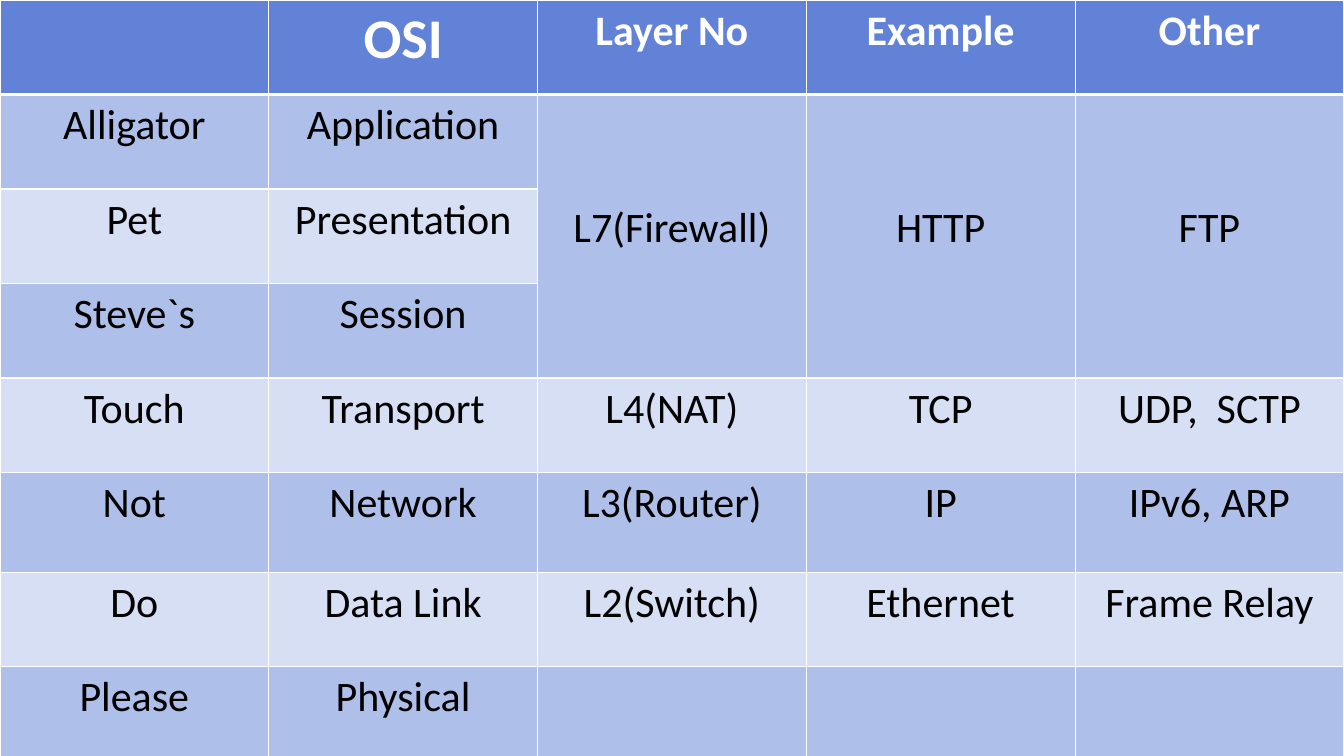
from lxml.etree import SubElement
from pptx import Presentation
from pptx.dml.color import RGBColor
from pptx.enum.text import PP_ALIGN
from pptx.oxml.ns import qn
from pptx.util import Inches, Pt

# Content: mnemonic, OSI layer, layer number, example, other
HEADER = ["", "OSI", "Layer No", "Example", "Other"]
LAYERS = [
    ["Alligator", "Application", "L7(Firewall)", "HTTP", "FTP"],
    ["Pet", "Presentation"],
    ["Steve`s", "Session"],
    ["Touch", "Transport", "L4(NAT)", "TCP", "UDP,  SCTP"],
    ["Not", "Network", "L3(Router)", "IP", "IPv6, ARP"],
    ["Do", "Data Link", "L2(Switch)", "Ethernet", "Frame Relay"],
    ["Please", "Physical"],
]
ROWS = [HEADER] + LAYERS
MERGED_ROWS = (1, 3)
MERGED_COLUMNS = (2, 3, 4)

# Look
WIDTH, HEIGHT = 13.33, 7.5
TALL_ROW, TALL_HEIGHT = 5, 0.99
MERGED_TOP_MARGIN = 1.07
FONT, SIZE, TITLE_SIZE = "Calibri", 30, 40
WHITE, BLACK = "FFFFFF", "000000"
HEADER_FILL, BAND_FILLS = "6182D6", ("D7DFF4", "AEBFEA")
THIN, THICK = 1, 3


def color(hex_code):
    return RGBColor.from_string(hex_code)


def add_borders(cell, top, bottom):
    props = cell._tc.get_or_add_tcPr()
    for side, width in (("L", THIN), ("R", THIN), ("T", top), ("B", bottom)):
        line = SubElement(props, qn(f"a:ln{side}"), w=str(Pt(width)))
        fill = SubElement(line, qn("a:solidFill"))
        SubElement(fill, qn("a:srgbClr"), val=WHITE)


def fill_cell(cell, text, row):
    is_header = row == 0
    add_borders(cell, THICK if row == 1 else THIN, THICK if is_header else THIN)
    cell.fill.solid()
    cell.fill.fore_color.rgb = color(HEADER_FILL if is_header else BAND_FILLS[row % 2])
    if not text:
        return
    cell.text_frame.text = text
    para = cell.text_frame.paragraphs[0]
    para.alignment = PP_ALIGN.CENTER
    font = para.runs[0].font
    font.name = FONT
    font.size = Pt(TITLE_SIZE if text == "OSI" else SIZE)
    font.bold = is_header
    font.color.rgb = color(WHITE if is_header else BLACK)


deck = Presentation()
deck.slide_width, deck.slide_height = Inches(WIDTH), Inches(HEIGHT)
page = deck.slides.add_slide(deck.slide_layouts[6])

# Table grid
table = page.shapes.add_table(
    len(ROWS), len(HEADER), 0, 0, Inches(WIDTH), Inches(HEIGHT)).table
for column in table.columns:
    column.width = Inches(WIDTH / len(HEADER))
for index, table_row in enumerate(table.rows):
    table_row.height = Inches(TALL_HEIGHT if index == TALL_ROW else HEIGHT / len(ROWS))

# Cells
for row, texts in enumerate(ROWS):
    for column in range(len(HEADER)):
        text = texts[column] if column < len(texts) else ""
        fill_cell(table.cell(row, column), text, row)

# Three upper layers share one cell in each right-hand column
first, last = MERGED_ROWS
for column in MERGED_COLUMNS:
    shared = table.cell(first, column)
    shared.merge(table.cell(last, column))
    shared.margin_top = Inches(MERGED_TOP_MARGIN)

deck.save("out.pptx")
